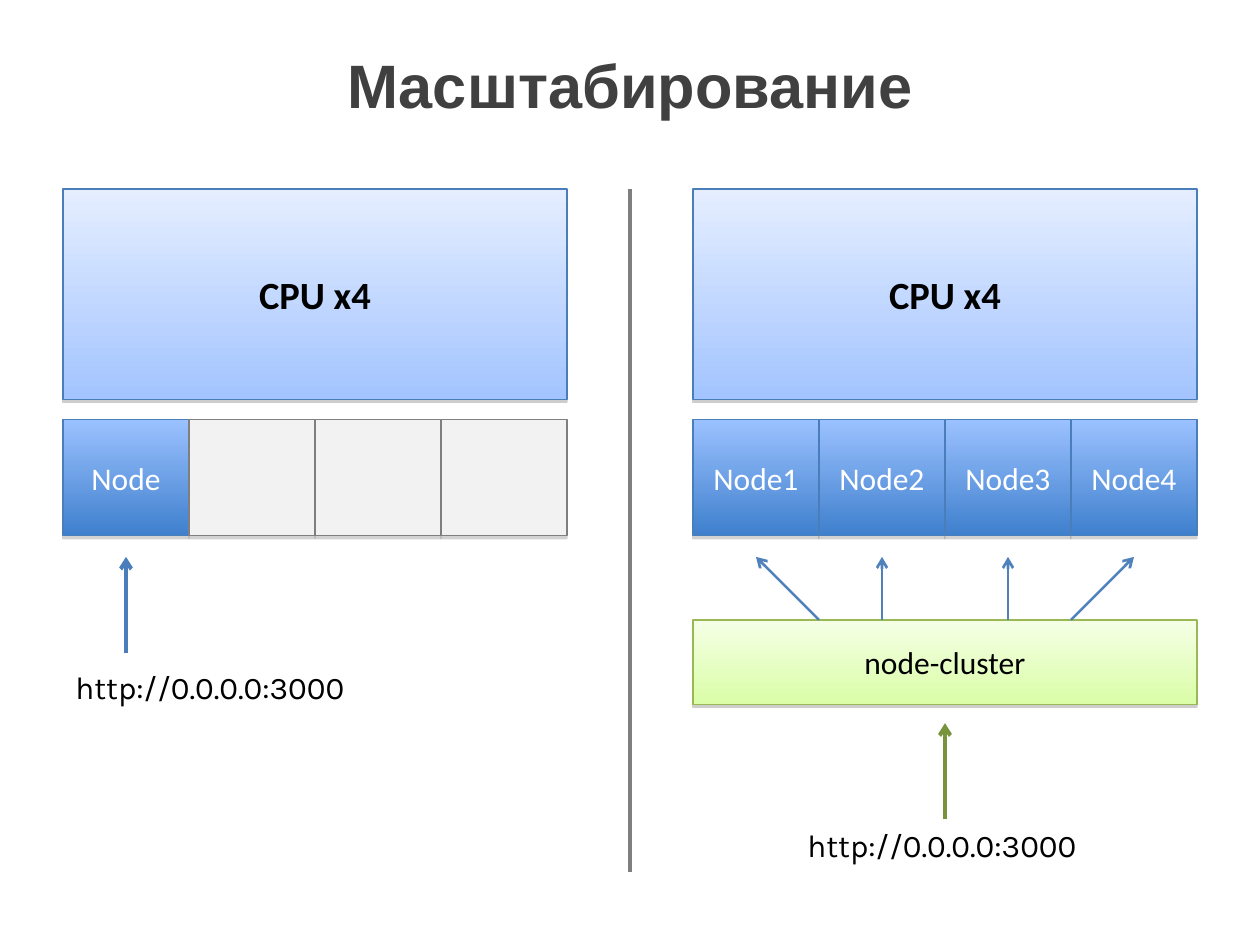
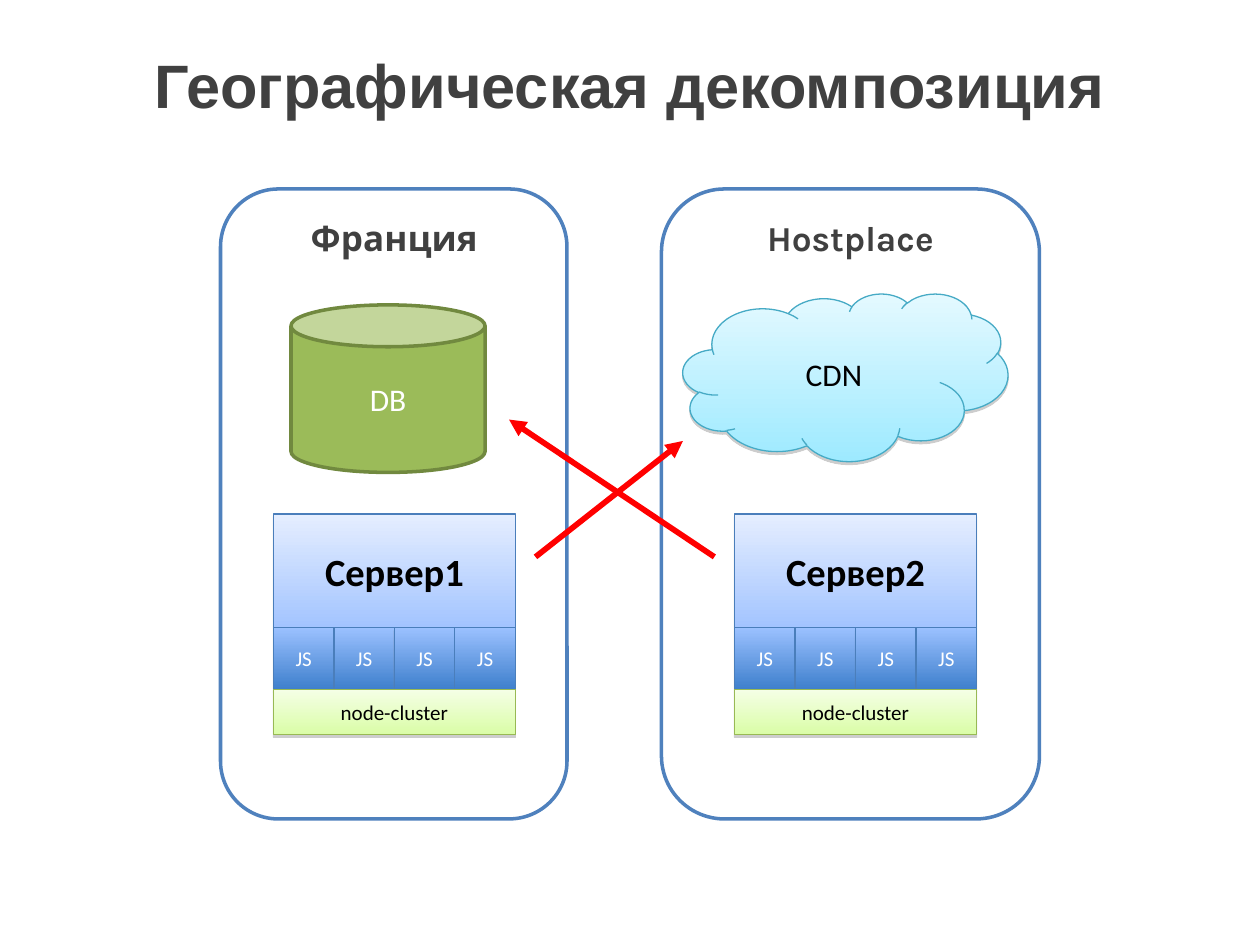
"""Builds two slides on scaling a node service across cores and locations."""
from dataclasses import dataclass

from lxml import etree
from pptx import Presentation
from pptx.dml.color import RGBColor
from pptx.enum.shapes import MSO_CONNECTOR, MSO_SHAPE
from pptx.enum.text import MSO_ANCHOR, MSO_AUTO_SIZE, PP_ALIGN
from pptx.oxml.ns import qn
from pptx.util import Inches, Pt

RECTANGLE = MSO_SHAPE.RECTANGLE
ROUNDED = MSO_SHAPE.ROUNDED_RECTANGLE
CAN = MSO_SHAPE.CAN
CLOUD = MSO_SHAPE.CLOUD
STRAIGHT = MSO_CONNECTOR.STRAIGHT
LEFT, CENTER = PP_ALIGN.LEFT, PP_ALIGN.CENTER
TOP, MIDDLE = MSO_ANCHOR.TOP, MSO_ANCHOR.MIDDLE
FIT_SHAPE = MSO_AUTO_SIZE.SHAPE_TO_FIT_TEXT
CORES = 4


@dataclass(frozen=True)
class Look:
    """Fill colours, outline, text colour and shadow of a shape."""
    fill: tuple
    line: str
    text: str = "000000"
    width: float = 0.75
    shadow: tuple = ()


@dataclass(frozen=True)
class Theme:
    """Colours, looks and text formats shared by the slides."""
    ink = "404040"
    black = "000000"
    grey = "7F7F7F"
    blue = "4F81BD"
    deep_blue = "4A7EBB"
    green = "77933C"
    red = "FF0000"
    soft = (38, 1.6)
    strong = (35, 1.8)
    machine = Look(("E5EEFF", "A3C4FF"), deep_blue, shadow=soft)
    worker = Look(("9BC1FF", "3F80CD"), deep_blue, "FFFFFF", shadow=strong)
    idle = Look(("F2F2F2",), grey, shadow=strong)
    cluster = Look(("F5FFE6", "DAFDA7"), "98B954", shadow=soft)
    network = Look(("E4F9FF", "9EEAFF"), "46AAC5", shadow=soft)
    database = Look(("9BBB59",), "71893F", "FFFFFF", 2)
    site = Look(("FFFFFF",), blue, width=2)
    title = {"name": "Arial", "size": Pt(35), "bold": True}
    heading = {"name": "Karla", "size": Pt(20), "bold": True}
    address = {"name": "Karla", "size": Pt(18)}
    strong_label = {"name": "Calibri", "size": Pt(22), "bold": True}
    label = {"name": "Calibri", "size": Pt(18)}
    small_label = {"name": "Calibri", "size": Pt(12)}


THEME = Theme()


def write(box, text, style, color, align=CENTER, anchor=MIDDLE):
    """Put one formatted line of text into a box."""
    frame = box.text_frame
    frame.word_wrap = True
    frame.vertical_anchor = anchor
    para = frame.paragraphs[0]
    para.alignment = align
    span = para.add_run()
    span.text = text
    for name, value in style.items():
        setattr(span.font, name, value)
    span.font.color.rgb = RGBColor.from_string(color)


def add_text(page, place, text, style, color, align=CENTER):
    """Add a text box whose text starts at the top."""
    box = page.shapes.add_textbox(*map(Inches, place))
    write(box, text, style, color, align, TOP)
    return box


def add_address(page, left, top):
    """Add the service address on a single line."""
    box = add_text(page, (left, top, 2.35, 0.4), "http://0.0.0.0:3000",
                   THEME.address, THEME.black, LEFT)
    box.text_frame.word_wrap = False
    box.text_frame.auto_size = FIT_SHAPE


def paint(shape, look):
    """Apply fill, outline and shadow to a shape."""
    if len(look.fill) == 1:
        shape.fill.solid()
        shape.fill.fore_color.rgb = RGBColor.from_string(look.fill[0])
    else:
        shape.fill.gradient()
        shape.fill.gradient_angle = 270
        for stop, color in zip(shape.fill.gradient_stops, look.fill):
            stop.color.rgb = RGBColor.from_string(color)
    shape.line.color.rgb = RGBColor.from_string(look.line)
    shape.line.width = Pt(look.width)
    shape.shadow.inherit = False
    if look.shadow:
        alpha, distance = look.shadow
        effects = shape._element.spPr.find(qn("a:effectLst"))
        shadow = etree.SubElement(
            effects, qn("a:outerShdw"), blurRad="0", dist=str(Pt(distance)),
            dir="5400000", algn="ctr", rotWithShape="0")
        color = etree.SubElement(shadow, qn("a:srgbClr"), val="808080")
        etree.SubElement(color, qn("a:alpha"), val=str(alpha * 1000))


def add_block(shapes, place, look, text="", style=THEME.label, kind=RECTANGLE):
    """Add a painted shape with an optional centred label."""
    shape = shapes.add_shape(kind, *map(Inches, place))
    paint(shape, look)
    if text:
        write(shape, text, style, look.text)


def add_cells(shapes, place, labels, style):
    """Split a row into equal cells; cells without a label are idle."""
    left, top, width, height = place
    step = width / len(labels)
    for index, text in enumerate(labels):
        look = THEME.worker if text else THEME.idle
        add_block(shapes, (left + index * step, top, step, height),
                  look, text, style)


def add_line(page, start, end, color, width, head=None):
    """Add a straight line, with an arrowhead at its end if one is named."""
    line = page.shapes.add_connector(STRAIGHT, *map(Inches, (*start, *end)))
    line.line.color.rgb = RGBColor.from_string(color)
    line.line.width = Pt(width)
    if head:
        etree.SubElement(line.line._get_or_add_ln(), qn("a:tailEnd"), type=head)
    etree.SubElement(line._element.spPr, qn("a:effectLst"))


def add_page(deck, title):
    """Add a blank slide with the shared title."""
    page = deck.slides.add_slide(deck.slide_layouts[6])
    add_text(page, (0.75, 0.33, 8.5, 0.83), title, THEME.title, THEME.ink)
    return page


def add_processor(page, left, labels):
    """Add a four-core processor above its row of node processes."""
    add_block(page.shapes, (left, 1.5, 4, 1.67), THEME.machine,
              "CPU x4", THEME.strong_label)
    add_cells(page.shapes, (left, 3.33, 4, 0.92), labels, THEME.label)


def add_server(page, left, name):
    """Add a grouped server with its processes and cluster."""
    shapes = page.shapes.add_group_shape().shapes
    add_block(shapes, (left, 4.08, 1.92, 0.9), THEME.machine,
              name, THEME.strong_label)
    add_cells(shapes, (left, 4.98, 1.92, 0.49), ["JS"] * CORES,
              THEME.small_label)
    add_block(shapes, (left, 5.47, 1.92, 0.36), THEME.cluster,
              "node-cluster", THEME.small_label)


def add_site(page, left, width, heading_left, name):
    """Add the rounded frame of a location and its heading."""
    add_block(page.shapes, (left, 1.5, width, 5), THEME.site, kind=ROUNDED)
    add_text(page, (heading_left, 1.67, 1.84, 0.5), name,
             THEME.heading, THEME.ink)


def build_scaling(deck):
    """Compare one node process with a cluster of four."""
    page = add_page(deck, "Масштабирование")
    add_processor(page, 0.5, ["Node", "", "", ""])
    add_processor(page, 5.5, [f"Node{core + 1}" for core in range(CORES)])
    add_block(page.shapes, (5.5, 4.92, 4, 0.67), THEME.cluster, "node-cluster")
    for start, end in ((6.5, 6), (7, 7), (8, 8), (8.5, 9)):
        add_line(page, (start, 4.92), (end, 4.42), THEME.blue, 1.5, "arrow")
    add_line(page, (1, 5.18), (1, 4.42), THEME.deep_blue, 2.25, "arrow")
    add_line(page, (7.5, 6.5), (7.5, 5.74), THEME.green, 2.25, "arrow")
    add_address(page, 0.5, 5.25)
    add_address(page, 6.31, 6.51)
    add_line(page, (5, 1.5), (5, 6.92), THEME.grey, 2)


def build_geography(deck):
    """Show two locations that use each other's services."""
    page = add_page(deck, "Географическая декомпозиция")
    add_site(page, 5.25, 3, 5.83, "Hostplace")
    add_site(page, 1.75, 2.75, 2.21, "Франция")
    add_server(page, 2.17, "Сервер1")
    add_server(page, 5.83, "Сервер2")
    add_block(page.shapes, (2.31, 2.42, 1.54, 1.33), THEME.database,
              "DB", kind=CAN)
    add_block(page.shapes, (5.42, 2.33, 2.58, 1.33), THEME.network,
              "CDN", kind=CLOUD)
    add_line(page, (5.67, 4.42), (4.04, 3.33), THEME.red, 3.25, "triangle")
    add_line(page, (4.25, 4.42), (5.42, 3.5), THEME.red, 3.25, "triangle")


def main():
    """Build and save the deck."""
    deck = Presentation()
    deck.slide_width, deck.slide_height = Inches(10), Inches(7.5)
    build_scaling(deck)
    build_geography(deck)
    deck.save("out.pptx")


if __name__ == "__main__":
    main()
